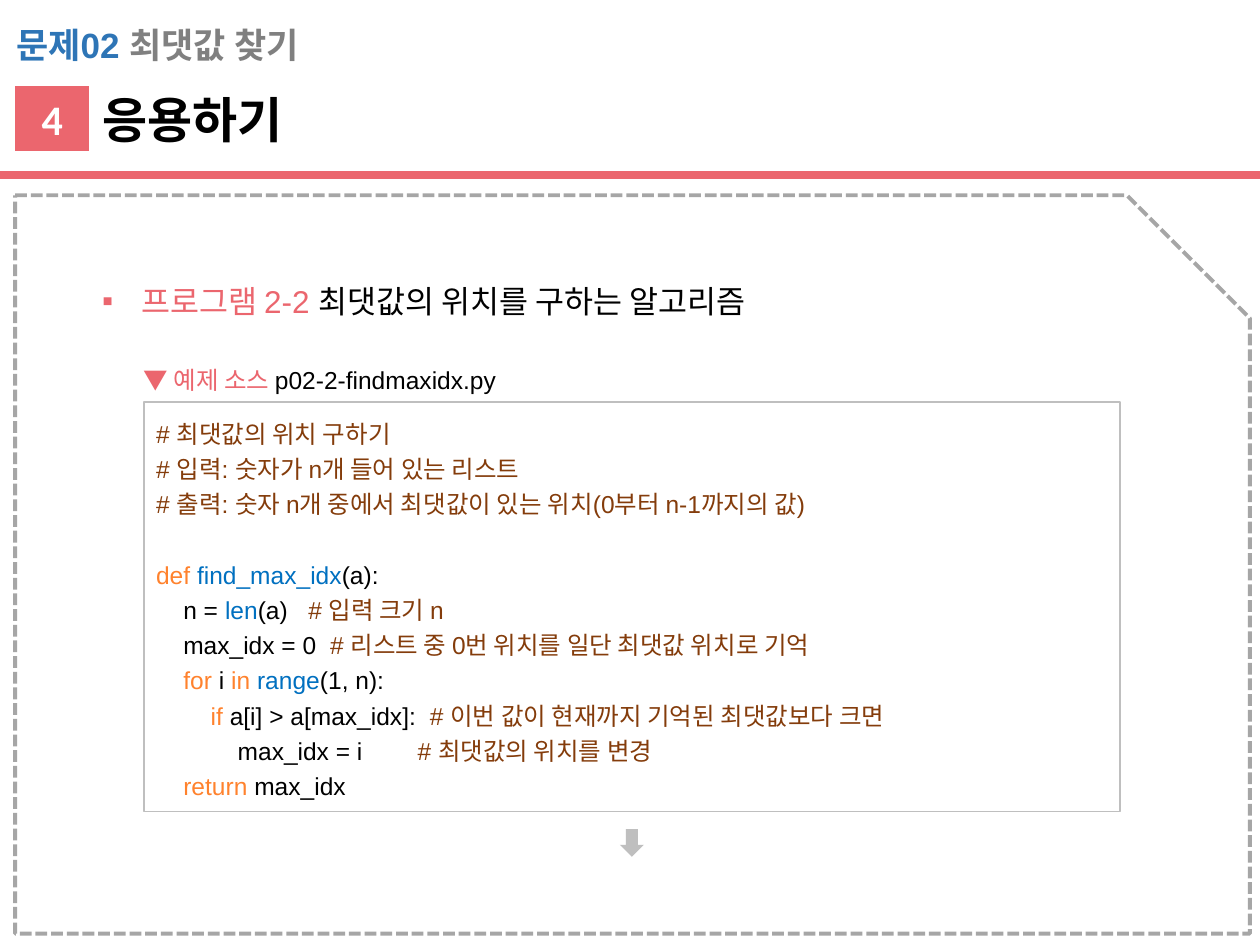
from lxml import etree
from pptx import Presentation
from pptx.dml.color import RGBColor
from pptx.enum import dml, shapes, text
from pptx.oxml import ns
from pptx.util import Inches, Pt

CORAL, BLUE, GRAY, BLACK, WHITE = "EB666E", "2E75B6", "808080", "000000", "FFFFFF"
DASH_GRAY, PALE_GRAY = "A6A6A6", "BFBFBF"
COMMENT, KEYWORD, NAME = "843C0B", "FF822D", "0070C0"

# Every text is a list of paragraphs; a paragraph is a list of (text, colour).
PROBLEM = [[("문제02 ", BLUE), ("최댓값 찾기", GRAY)]]
STEP_NUMBER = [[("4", WHITE)]]
TITLE = [[("응용하기", BLACK)]]
PROGRAM = [[("프로그램 2-2 ", CORAL), ("최댓값의 위치를 구하는 알고리즘", BLACK)]]
SOURCE_LABEL = [[("▼ 예제 소스 ", CORAL), ("p02-2-findmaxidx.py", BLACK)]]
CODE = [
    [("# 최댓값의 위치 구하기", COMMENT)],
    [("# 입력: 숫자가 n개 들어 있는 리스트", COMMENT)],
    [("# 출력: 숫자 n개 중에서 최댓값이 있는 위치(0부터 n-1까지의 값)", COMMENT)],
    [],
    [("def ", KEYWORD), ("find_max_idx", NAME), ("(a):", BLACK)],
    [("    n = ", BLACK), ("len", NAME), ("(a)   ", BLACK), ("# 입력 크기 n", COMMENT)],
    [("    max_idx = 0  ", BLACK),
     ("# 리스트 중 0번 위치를 일단 최댓값 위치로 기억", COMMENT)],
    [("    ", BLACK), ("for ", KEYWORD), ("i ", BLACK), ("in ", KEYWORD),
     ("range", NAME), ("(1, n):", BLACK)],
    [("        ", BLACK), ("if", KEYWORD), (" a[i] > a[max_idx]:  ", BLACK),
     ("# 이번 값이 현재까지 기억된 최댓값보다 크면", COMMENT)],
    [("            max_idx = i        ", BLACK), ("# 최댓값의 위치를 변경", COMMENT)],
    [("    ", BLACK), ("return ", KEYWORD), ("max_idx", BLACK)],
]


def rgb(value):
    return RGBColor.from_string(value)


def write(shape, paragraphs, size, bold=False, font="Arial", spacing=1.0,
          align=text.PP_ALIGN.LEFT, **frame_format):
    """Fill a shape with coloured spans; frame_format goes to its text frame."""
    frame = shape.text_frame
    for key, value in {"word_wrap": True, **frame_format}.items():
        setattr(frame, key, value)
    for index, spans in enumerate(paragraphs):
        para = frame.add_paragraph() if index else frame.paragraphs[0]
        layout = {"alignment": align, "line_spacing": spacing, "space_before": Pt(0)}
        for key, value in layout.items():
            setattr(para, key, value)
        for words, color in spans:
            span = para.add_run()
            span.text = words
            span.font.color.rgb = rgb(color)
            for key, value in {"size": Pt(size), "bold": bold, "name": font}.items():
                setattr(span.font, key, value)
        if not spans:
            end = etree.SubElement(para._p, ns.qn("a:endParaRPr"))
            end.set("sz", str(size * 100))


def write_label(shape, box, paragraphs, size, **format_values):
    """Place a top-anchored text whose shape grows with its content."""
    shape.left, shape.top, shape.width, shape.height = map(Inches, box)
    write(shape, paragraphs, size, vertical_anchor=text.MSO_ANCHOR.TOP,
          auto_size=text.MSO_AUTO_SIZE.SHAPE_TO_FIT_TEXT, **format_values)


def add_figure(page, kind, box, fill=None, line=None, width=1):
    figure = page.shapes.add_shape(kind, *map(Inches, box))
    figure.shadow.inherit = False
    if fill:
        figure.fill.solid()
        figure.fill.fore_color.rgb = rgb(fill)
    else:
        figure.fill.background()
    if line:
        figure.line.color.rgb = rgb(line)
        figure.line.width = Pt(width)
    else:
        figure.line.fill.background()
    return figure


def add_bullet(para, char, color, indent):
    props = para._p.get_or_add_pPr()
    props.set("marL", str(Inches(indent)))
    props.set("indent", str(-Inches(indent)))
    bullet_color = etree.SubElement(props, ns.qn("a:buClr"))
    etree.SubElement(bullet_color, ns.qn("a:srgbClr")).set("val", color)
    etree.SubElement(props, ns.qn("a:buFont")).set("typeface", "Arial")
    etree.SubElement(props, ns.qn("a:buChar")).set("char", char)


def main():
    deck = Presentation()
    deck.slide_width, deck.slide_height = Inches(10), Inches(7.5)
    page = deck.slides.add_slide(deck.slide_layouts[1])
    kinds = shapes.MSO_SHAPE

    border = add_figure(page, kinds.SNIP_1_RECTANGLE, (0.12, 1.55, 9.8, 5.86),
                        line=DASH_GRAY, width=2.25)
    border.line.dash_style = dml.MSO_LINE.SQUARE_DOT

    rule = page.shapes.add_connector(shapes.MSO_CONNECTOR.STRAIGHT, Inches(0),
                                     Inches(1.39), Inches(10), Inches(1.39))
    rule.line.color.rgb = rgb(CORAL)
    rule.line.width = Pt(4.5)
    etree.SubElement(rule._element.spPr, ns.qn("a:effectLst"))

    problem = page.shapes.add_textbox(0, 0, 0, 0)
    write_label(problem, (0.03, 0.14, 9.45, 0.44), PROBLEM, 20, bold=True)

    badge = add_figure(page, kinds.FLOWCHART_PROCESS, (0.12, 0.68, 0.59, 0.52), fill=CORAL)
    write(badge, STEP_NUMBER, 24, bold=True, font="Calibri",
          align=text.PP_ALIGN.CENTER, vertical_anchor=text.MSO_ANCHOR.MIDDLE)
    write_label(page.shapes.title, (0.71, 0.66, 9.21, 0.57), TITLE, 28, bold=True)

    body = page.placeholders[1]
    write_label(body, (0.71, 1.99, 8.66, 0.6), PROGRAM, 18, spacing=1.65)
    add_bullet(body.text_frame.paragraphs[0], "▪", CORAL, 0.31)

    listing = add_figure(page, kinds.RECTANGLE, (1.14, 3.19, 7.75, 3.25), line=PALE_GRAY)
    write(listing, CODE, 14, spacing=1.2, vertical_anchor=text.MSO_ANCHOR.MIDDLE)
    source_label = page.shapes.add_textbox(0, 0, 0, 0)
    write_label(source_label, (1.04, 2.85, 3.42, 0.34), SOURCE_LABEL, 14)

    add_figure(page, kinds.DOWN_ARROW, (4.92, 6.58, 0.19, 0.22), fill=PALE_GRAY)
    deck.save("out.pptx")


if __name__ == "__main__":
    main()
